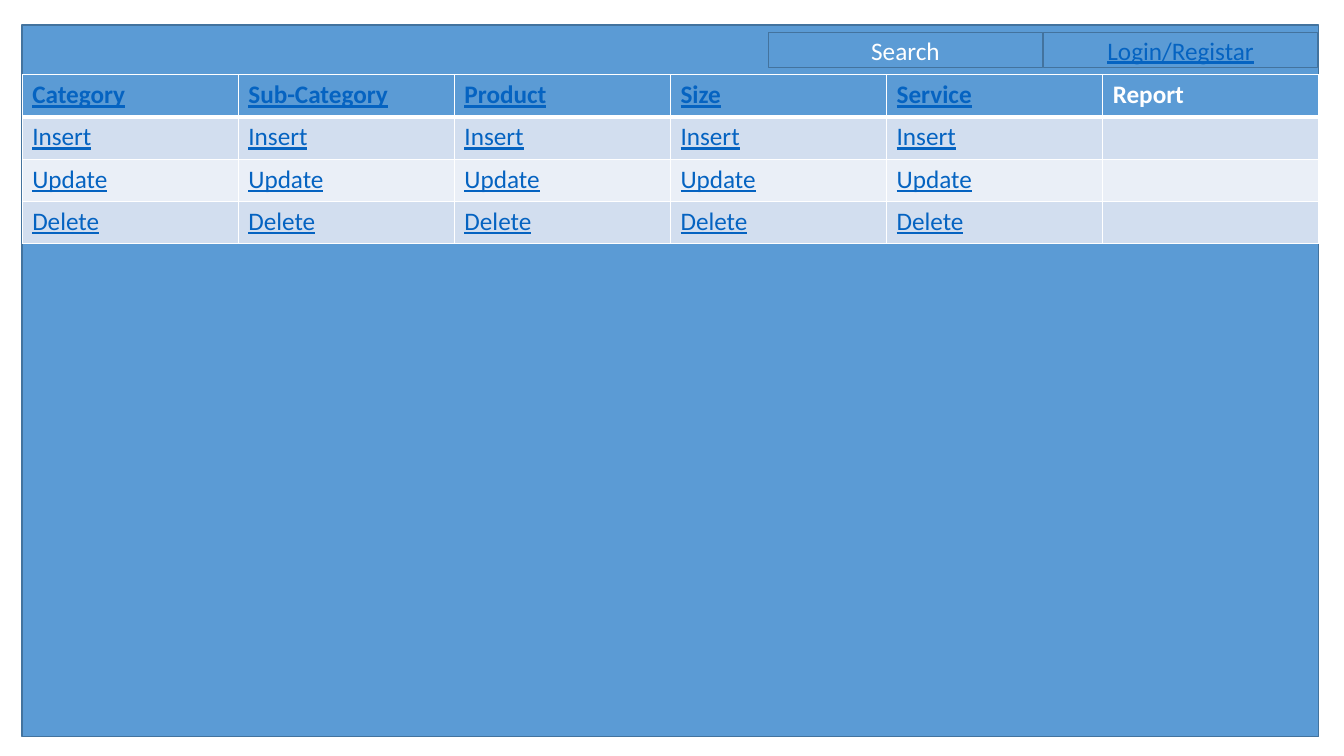
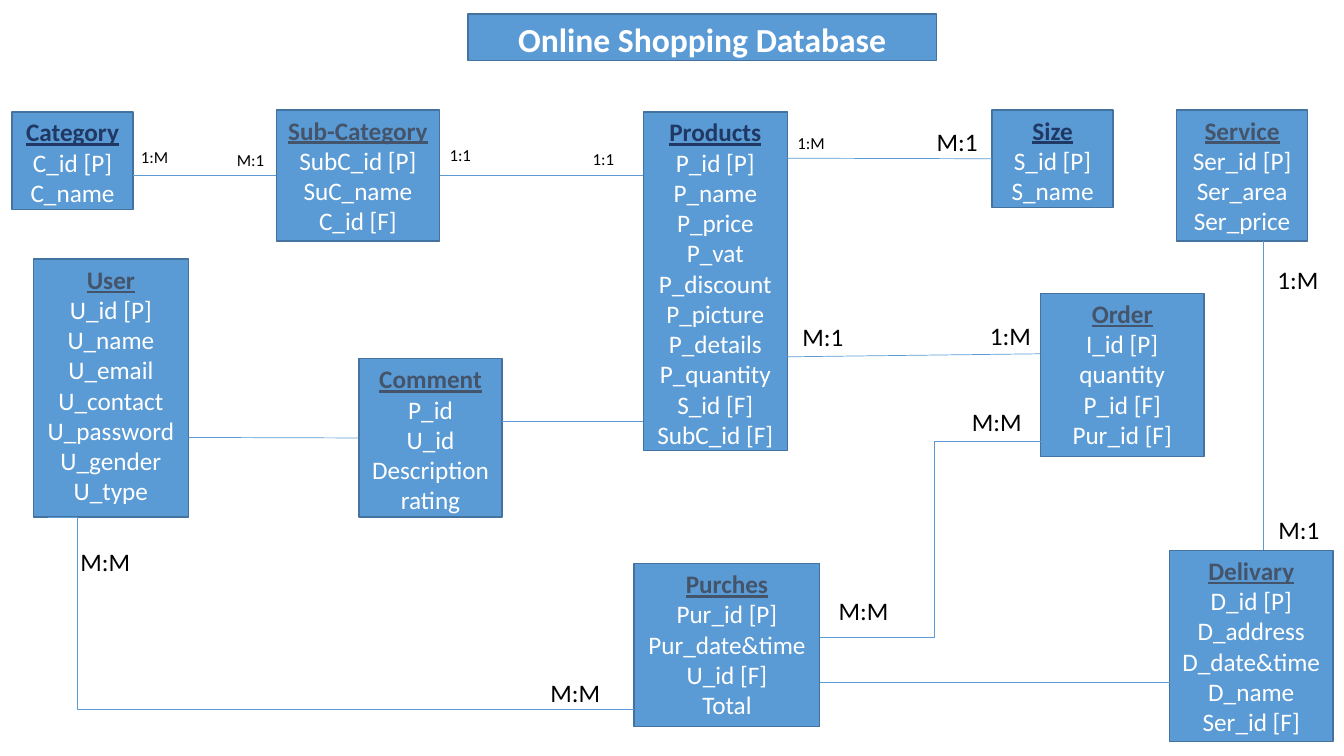
from lxml import etree
from pptx import Presentation
from pptx.dml.color import RGBColor
from pptx.enum import shapes, text
from pptx.oxml.ns import qn
from pptx.util import Inches, Pt

FONT = "Calibri"
COLORS = {
    "blue": "5B9BD5", "edge": "43739E", "link": "0563C1", "white": "FFFFFF",
    "black": "000000", "navy": "203864", "slate": "44546A",
    "band_dark": "D2DEEF", "band_light": "EAEFF7",
}
CENTER = text.PP_ALIGN.CENTER

# Menu table
MENU = ["Category", "Sub-Category", "Product", "Size", "Service", "Report"]
ACTIONS = ["Insert", "Update", "Delete"]

# Entities: name, heading colour, left, top, width, height, fields
ENTITIES = [
    ("Category", "navy", 0.12, 1.11, 1.2, 0.97, ["C_id [P]", "C_name"]),
    ("Sub-Category", "slate", 2.74, 1.09, 1.62, 1.3,
     ["SubC_id [P]", "SuC_name", "C_id [F]"]),
    ("Size", "navy", 9.84, 1.09, 1.2, 0.97, ["S_id [P]", "S_name"]),
    ("User", "slate", 0.33, 2.57, 1.54, 2.56,
     ["U_id [P]", "U_name", "U_email", "U_contact", "U_password", "U_gender",
      "U_type"]),
    ("Products", "navy", 6.38, 1.11, 1.43, 3.36,
     ["P_id [P]", "P_name", "P_price", "P_vat", "P_discount", "P_picture",
      "P_details", "P_quantity", "S_id [F]", "SubC_id [F]"]),
    ("Service", "slate", 11.67, 1.09, 1.3, 1.3,
     ["Ser_id [P]", "Ser_area", "Ser_price"]),
    ("Purches", "slate", 6.29, 5.59, 1.84, 1.62,
     ["Pur_id [P]", "Pur_date&time", "U_id [F]", "Total"]),
    ("Order", "slate", 10.32, 2.91, 1.62, 1.62,
     ["I_id [P]", "quantity", "P_id [F]", "Pur_id [F]"]),
    ("Delivary", "slate", 11.6, 5.46, 1.62, 1.9,
     ["D_id [P]", "D_address", "D_date&time", "D_name", "Ser_id [F]"]),
    ("Comment", "slate", 3.56, 3.56, 1.42, 1.57,
     ["P_id", "U_id", "Description", "rating"]),
]

# Straight relations that do not meet a side at its middle: x1, y1, x2, y2
RELATIONS = [
    (12.53, 2.39, 12.53, 5.46),
    (7.81, 3.54, 10.32, 3.51),
    (8.13, 6.77, 11.6, 6.77),
    (4.98, 4.18, 6.38, 4.18),
]

# Cardinalities: text, size, left, top
CARDINALITIES = [
    ("1:M", 12, 1.3, 1.41), ("M:1", 12, 2.25, 1.44), ("1:1", 12, 4.36, 1.39),
    ("1:1", 12, 5.78, 1.43), ("1:M", 12, 7.81, 1.27), ("M:1", 18, 9.19, 1.2),
    ("M:M", 18, 0.7, 5.37), ("M:M", 18, 5.36, 6.67), ("1:M", 18, 9.72, 3.13),
    ("M:1", 18, 7.86, 3.14), ("M:M", 18, 9.54, 3.98), ("M:M", 18, 8.22, 5.86),
    ("1:M", 18, 12.57, 2.57), ("M:1", 18, 12.58, 5.05),
]
LABEL_WIDTHS = {("1:1", 12): 0.42, ("1:M", 12): 0.48, ("M:1", 12): 0.48,
                ("1:M", 18): 0.61, ("M:1", 18): 0.61, ("M:M", 18): 0.7}


def rgb(name):
    return RGBColor.from_string(COLORS[name])


def write(p, words, size=18, color="white", bold=False, underline=False,
          align=None):
    p.alignment = align
    r = p.add_run()
    r.text = words
    f = r.font
    f.name, f.size, f.bold, f.underline = FONT, Pt(size), bold, underline
    f.color.rgb = rgb(color)


def paint(sp):
    sp.fill.solid()
    sp.fill.fore_color.rgb = rgb("blue")
    sp.line.color.rgb = rgb("edge")
    sp.line.width = Pt(1)


def add_box(s, *box):
    sp = s.shapes.add_shape(shapes.MSO_SHAPE.RECTANGLE, *map(Inches, box))
    sp.shadow.inherit = False
    paint(sp)
    return sp


def add_button(s, left, words, **fmt):
    tf = add_box(s, left, 0.32, 2.72, 0.35).text_frame
    tf.vertical_anchor = text.MSO_ANCHOR.MIDDLE
    write(tf.paragraphs[0], words, align=CENTER, **fmt)


def add_entity(s, name, color, left, top, width, height, fields):
    sp = add_box(s, left, top, width, height)
    tf = sp.text_frame
    tf.vertical_anchor = text.MSO_ANCHOR.TOP
    write(tf.paragraphs[0], name, color=color, bold=True, underline=True,
          align=CENTER)
    for field in fields:
        write(tf.add_paragraph(), field, align=CENTER)
    return sp


def add_label(s, words, size, left, top):
    height = 0.3 if size == 12 else 0.4
    box = left, top, LABEL_WIDTHS[words, size], height
    tf = s.shapes.add_textbox(*map(Inches, box)).text_frame
    tf.word_wrap = False
    tf.auto_size = text.MSO_AUTO_SIZE.SHAPE_TO_FIT_TEXT
    write(tf.paragraphs[0], words, size=size, color="black")


def add_relation(s, *ends, bend=None):
    kind = shapes.MSO_CONNECTOR.STRAIGHT
    if bend is not None:
        kind = shapes.MSO_CONNECTOR.ELBOW
    cx = s.shapes.add_connector(kind, *map(Inches, ends))
    cx.line.color.rgb = rgb("blue")
    cx.line.width = Pt(0.5)
    sp_pr = cx._element.spPr
    etree.SubElement(sp_pr, qn("a:effectLst"))
    if bend is not None:
        guides = sp_pr.find(qn("a:prstGeom")).get_or_add_avLst()
        etree.SubElement(guides, qn("a:gd"), name="adj1",
                         fmla=f"val {round(bend * 100000)}")
    return cx


def set_borders(cell, **widths):
    tc_pr = cell._tc.get_or_add_tcPr()
    for i, side in enumerate("LRTB"):
        ln = etree.Element(qn(f"a:ln{side}"), w=str(Pt(widths.get(side, 1))))
        fill = etree.SubElement(ln, qn("a:solidFill"))
        etree.SubElement(fill, qn("a:srgbClr"), val=COLORS["white"])
        tc_pr.insert(i, ln)


def add_menu(s):
    rows = [MENU] + [[a] * (len(MENU) - 1) + [""] for a in ACTIONS]
    box = 0.22, 0.74, 12.86, 0.42 * len(rows)
    table = s.shapes.add_table(len(rows), len(MENU), *map(Inches, box)).table
    for i, row in enumerate(rows):
        fill = "blue" if i == 0 else "band_dark" if i % 2 else "band_light"
        for j, words in enumerate(row):
            cell = table.cell(i, j)
            cell.fill.solid()
            cell.fill.fore_color.rgb = rgb(fill)
            set_borders(cell, T=3 if i == 1 else 1, B=3 if i == 0 else 1)
            if words:
                linked = words != "Report"
                write(cell.text_frame.paragraphs[0], words, bold=i == 0,
                      color="link" if linked else "white", underline=linked)


def build_menu_page(prs):
    s = prs.slides.add_slide(prs.slide_layouts[6])
    add_box(s, 0.22, 0.25, 12.86, 7.06)
    add_button(s, 7.62, "Search")
    add_button(s, 10.35, "Login/Registar", color="link", underline=True)
    add_menu(s)


def build_diagram(prs):
    s = prs.slides.add_slide(prs.slide_layouts[5])

    # Title band
    title = s.shapes.title
    title.left, title.top = Inches(4.64), Inches(0.14)
    title.width, title.height = Inches(4.65), Inches(0.46)
    paint(title)
    tf = title.text_frame
    tf.word_wrap = True
    tf.auto_size = text.MSO_AUTO_SIZE.NONE
    tf.vertical_anchor = text.MSO_ANCHOR.TOP
    write(tf.paragraphs[0], "Online Shopping Database", size=24, bold=True,
          align=CENTER)

    # Entities
    entities = {e[0]: add_entity(s, *e) for e in ENTITIES}

    # Relations
    for ends in RELATIONS:
        add_relation(s, *ends)
    sub_category = entities["Sub-Category"]
    add_relation(s, 1.32, 1.74, 2.74, 1.74).end_connect(sub_category, 1)
    add_relation(s, 4.36, 1.74, 6.38, 1.74).begin_connect(sub_category, 3)
    add_relation(s, 7.81, 1.57, 9.84, 1.57).end_connect(entities["Size"], 1)
    add_relation(s, 1.87, 4.34, 3.56, 4.34).end_connect(
        entities["Comment"], 1)
    add_relation(s, 0.48, 5.13, 6.29, 7.04, bend=0.05)
    add_relation(s, 8.13, 6.32, 10.32, 4.38, bend=0.52)

    # Cardinalities
    for label in CARDINALITIES:
        add_label(s, *label)


def main():
    prs = Presentation()
    prs.slide_width, prs.slide_height = Inches(13.33), Inches(7.5)
    build_menu_page(prs)
    build_diagram(prs)
    prs.save("out.pptx")


if __name__ == "__main__":
    main()
